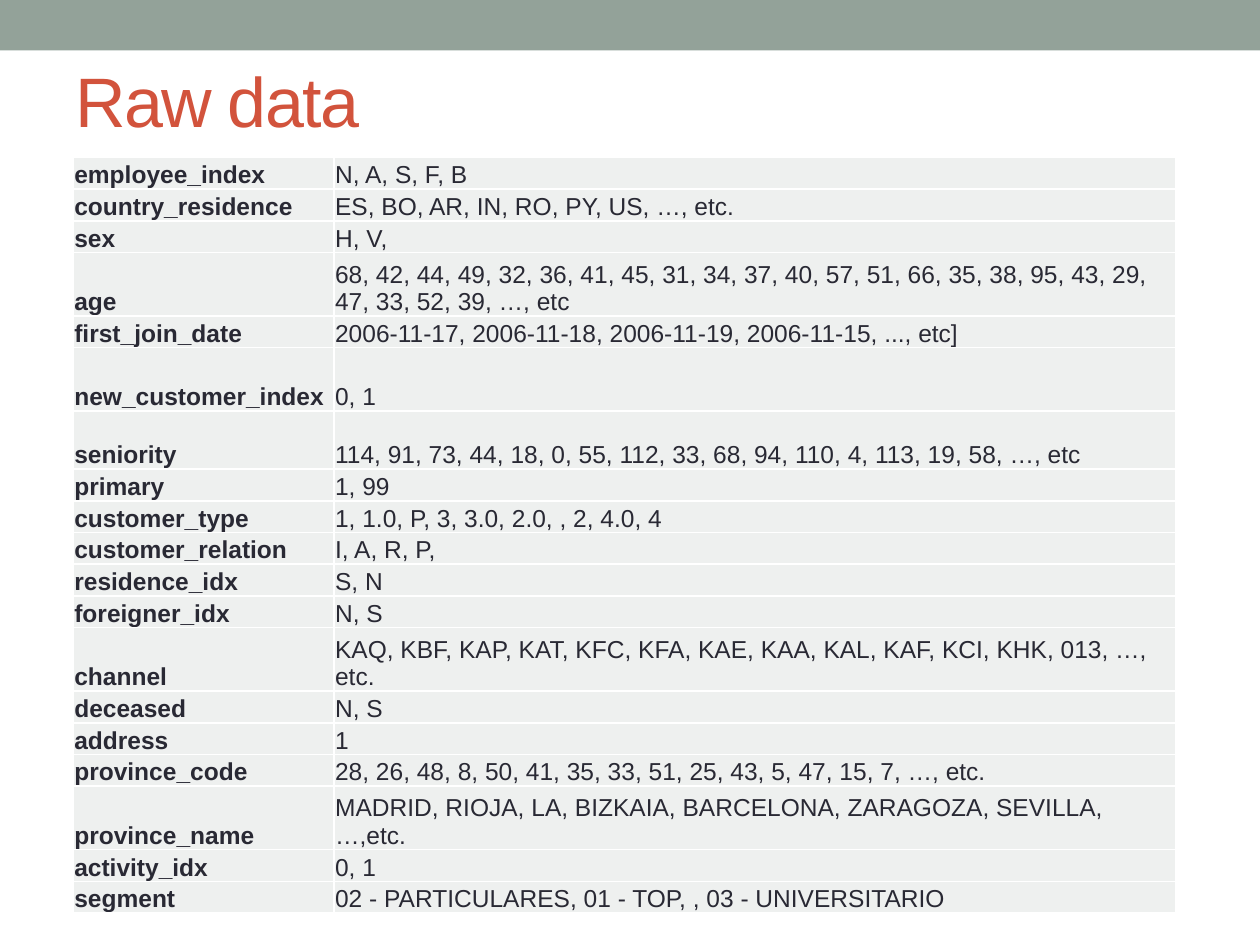
from dataclasses import dataclass

from lxml import etree
from pptx import Presentation
from pptx.dml.color import RGBColor
from pptx.enum.shapes import MSO_SHAPE
from pptx.enum.text import MSO_ANCHOR, PP_ALIGN
from pptx.oxml.ns import qn
from pptx.util import Inches, Pt

RECT = MSO_SHAPE.RECTANGLE
MIDDLE, BOTTOM = MSO_ANCHOR.MIDDLE, MSO_ANCHOR.BOTTOM
LEFT = PP_ALIGN.LEFT
TITLE_ONLY = 5


@dataclass(frozen=True)
class Theme:
    font: str = "Arial"
    band: str = "93A299"
    title: str = "D2533C"
    text: str = "292934"
    cell: str = "EEF0EF"
    rule: str = "FFFFFF"
    title_size: int = 40
    cell_size: int = 14


THEME = Theme()
TABLE_HEIGHT = 6
COLUMNS = (2.07, 6.68)
DOUBLE = {"age", "new_customer_index", "channel", "province_name"}
FIXED = {"seniority": 0.46}
FIELDS = {
    "employee_index": "N, A, S, F, B",
    "country_residence": "ES, BO, AR, IN, RO, PY, US, …, etc.",
    "sex": "H, V,",
    "age": "68, 42, 44, 49, 32, 36, 41, 45, 31, 34, 37, 40, 57, 51, 66, 35, "
           "38, 95, 43, 29, 47, 33, 52, 39, …, etc",
    "first_join_date": "2006-11-17, 2006-11-18, 2006-11-19, 2006-11-15, ..., etc]",
    "new_customer_index": "0, 1",
    "seniority": "114, 91, 73, 44, 18, 0, 55, 112, 33, 68, 94, 110, 4, 113, "
                 "19, 58, …, etc",
    "primary": "1, 99",
    "customer_type": "1, 1.0, P, 3, 3.0, 2.0, , 2, 4.0, 4",
    "customer_relation": "I, A, R, P,",
    "residence_idx": "S, N",
    "foreigner_idx": "N, S",
    "channel": "KAQ, KBF, KAP, KAT, KFC, KFA, KAE, KAA, KAL, KAF, KCI, KHK, "
               "013, …, etc.",
    "deceased": "N, S",
    "address": "1",
    "province_code": "28, 26, 48, 8, 50, 41, 35, 33, 51, 25, 43, 5, 47, 15, 7, …, etc.",
    "province_name": "MADRID, RIOJA, LA, BIZKAIA, BARCELONA, ZARAGOZA, SEVILLA, …,etc.",
    "activity_idx": "0, 1",
    "segment": "02 - PARTICULARES, 01 - TOP, , 03 - UNIVERSITARIO",
}


def set_all(target, values):
    for name, value in values.items():
        setattr(target, name, value)


def write(frame, text, size, color, bold=False):
    line = frame.paragraphs[0]
    line.alignment = LEFT
    run = line.add_run()
    run.text = text
    set_all(run.font, {"name": THEME.font, "size": Pt(size), "bold": bold})
    run.font.color.rgb = RGBColor.from_string(color)
    return run


def add_band(slide):
    band = slide.shapes.add_shape(RECT, 0, 0, Inches(10), Inches(0.4))
    band.shadow.inherit = False
    band.fill.solid()
    band.fill.fore_color.rgb = RGBColor.from_string(THEME.band)
    band.line.fill.background()


def add_title(slide, text):
    title = slide.shapes.title
    set_all(title, {"left": Inches(0.5), "top": Inches(0.25),
                    "width": Inches(9), "height": Inches(1.08)})
    title.text_frame.vertical_anchor = MIDDLE
    run = write(title.text_frame, text, THEME.title_size, THEME.title)
    run.font._element.set("spc", "-100")


def add_borders(cell):
    props = cell._tc.get_or_add_tcPr()
    for side in ("lnL", "lnR", "lnT", "lnB"):
        line = etree.SubElement(props, qn(f"a:{side}"), w=str(Pt(1)))
        fill = etree.SubElement(line, qn("a:solidFill"))
        etree.SubElement(fill, qn("a:srgbClr"), val=THEME.rule)


def fill_cell(cell, text, bold):
    add_borders(cell)
    cell.fill.solid()
    cell.fill.fore_color.rgb = RGBColor.from_string(THEME.cell)
    inset = Inches(0.01)
    set_all(cell, {"vertical_anchor": BOTTOM, "margin_left": inset,
                   "margin_top": inset, "margin_right": inset,
                   "margin_bottom": 0})
    write(cell.text_frame, text, THEME.cell_size, THEME.text, bold)


def row_heights():
    """Share the height left by fixed rows; double rows take two parts."""
    parts = len(FIELDS) - len(FIXED) + len(DOUBLE)
    unit = (TABLE_HEIGHT - sum(FIXED.values())) / parts
    return [FIXED.get(name, unit * (2 if name in DOUBLE else 1))
            for name in FIELDS]


def add_fields(slide):
    frame = slide.shapes.add_table(
        len(FIELDS), len(COLUMNS), Inches(0.58), Inches(1.25),
        Inches(sum(COLUMNS)), Inches(TABLE_HEIGHT))
    table = frame.table
    set_all(table, {"first_row": False, "horz_banding": False})
    for column, width in zip(table.columns, COLUMNS):
        column.width = Inches(width)
    for row, height, pair in zip(table.rows, row_heights(), FIELDS.items()):
        row.height = Inches(height)
        for index, text in enumerate(pair):
            fill_cell(row.cells[index], text, bold=index == 0)


def main():
    deck = Presentation()
    set_all(deck, {"slide_width": Inches(10), "slide_height": Inches(7.5)})
    slide = deck.slides.add_slide(deck.slide_layouts[TITLE_ONLY])
    add_band(slide)
    add_title(slide, "Raw data")
    add_fields(slide)
    deck.save("out.pptx")


if __name__ == "__main__":
    main()
